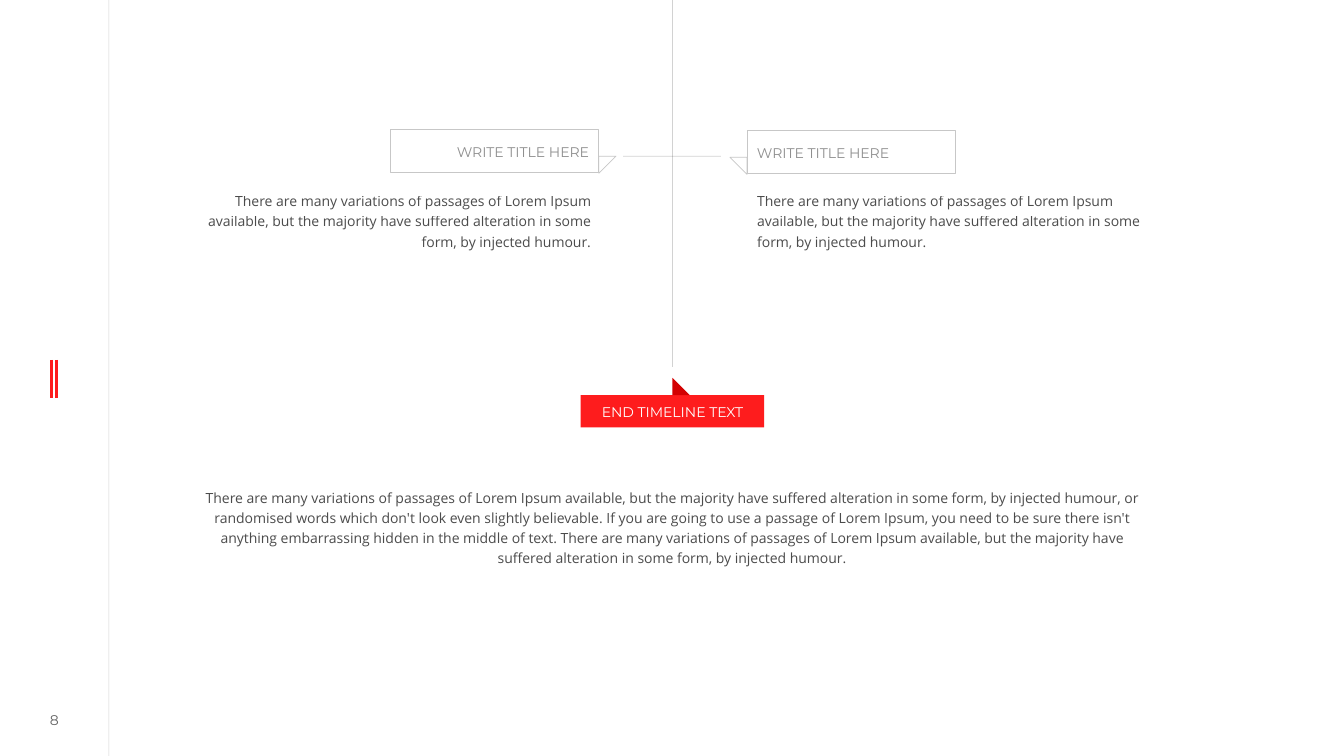
import pptx
import pptx.util
import pptx.dml.color
import pptx.enum.shapes
import pptx.enum.text
import pptx.oxml
import pptx.oxml.ns
from lxml import etree

Inches, Pt = pptx.util.Inches, pptx.util.Pt
RGB = pptx.dml.color.RGBColor
SHAPE = pptx.enum.shapes.MSO_SHAPE
ALIGN = pptx.enum.text.PP_ALIGN
ANCHOR = pptx.enum.text.MSO_ANCHOR
GROW = pptx.enum.text.MSO_AUTO_SIZE.SHAPE_TO_FIT_TEXT
qn = pptx.oxml.ns.qn

COLORS = {"ink": "1F1F1F", "red": "FE1C1D", "dark red": "D30102",
          "outline": "C7C7C7", "title": "8F8F8F", "white": "FFFFFF"}
PASSAGE = ("There are many variations of passages of Lorem Ipsum available, but the "
           "majority have suffered alteration in some form, by injected humour")
CLOSING = (PASSAGE + ", or randomised words which don't look even slightly believable. "
           "If you are going to use a passage of Lorem Ipsum, you need to be sure there "
           "isn't anything embarrassing hidden in the middle of text. " + PASSAGE + ".")

presentation = pptx.Presentation()
presentation.slide_width, presentation.slide_height = Inches(13.33), Inches(7.5)
slide = presentation.slides.add_slide(presentation.slide_layouts[6])
shapes = slide.shapes


def write(box, text, font, color, align, insets, opacity=100, spacing=None, **frame_format):
    """Fill a box with one paragraph; insets are left, top, right, bottom."""
    frame = box.text_frame
    frame_format["word_wrap"] = True
    for side, inset in zip(("left", "top", "right", "bottom"), insets):
        frame_format[f"margin_{side}"] = Inches(inset)
    for name, value in frame_format.items():
        setattr(frame, name, value)
    paragraph = frame.paragraphs[0]
    paragraph.alignment = align
    paragraph.line_spacing = spacing
    run = paragraph.add_run()
    run.text = text
    run.font.name, run.font.size = font, Pt(10)
    run.font.color.rgb = RGB.from_string(COLORS[color])
    if opacity < 100:
        tint = next(run._r.iter(qn("a:srgbClr")))
        etree.SubElement(tint, qn("a:alpha"), val=str(opacity * 1000))


def draw(kind, left, top, width, height, fill=None, rotation=0):
    """Add a filled shape, or an outlined one when no fill is given."""
    shape = shapes.add_shape(kind, Inches(left), Inches(top), Inches(width), Inches(height))
    shape.shadow.inherit = False
    shape.rotation = rotation
    if fill:
        shape.fill.solid()
        shape.fill.fore_color.rgb = RGB.from_string(COLORS[fill])
        shape.line.fill.background()
    else:
        shape.fill.background()
        shape.line.color.rgb = RGB.from_string(COLORS["outline"])
        shape.line.width = Pt(0.5)
    return shape


# Margin rule, red side marks, timeline and its two branches
axis, branch_y = 6.67, 1.55
lines = [(1.08, 0, 1.08, 7.5, "ink", 0.5, 20),
         (0.51, 3.57, 0.51, 3.95, "red", 2, 100),
         (0.56, 3.57, 0.56, 3.95, "red", 2, 100),
         (axis, 0, axis, 3.64, "ink", 0.5, 20),
         (axis, branch_y, 7.15, branch_y, "ink", 0.5, 20),
         (6.18, branch_y, axis, branch_y, "ink", 0.5, 20)]
for x1, y1, x2, y2, color, width, opacity in lines:
    line = shapes.add_connector(pptx.enum.shapes.MSO_CONNECTOR.STRAIGHT,
                                Inches(x1), Inches(y1), Inches(x2), Inches(y2))
    line.line.color.rgb = RGB.from_string(COLORS[color])
    line.line.width = Pt(width)
    properties = line._element.spPr
    if opacity < 100:
        tint = next(properties.iter(qn("a:srgbClr")))
        etree.SubElement(tint, qn("a:alpha"), val=str(opacity * 1000))
    etree.SubElement(properties, qn("a:effectLst"))

# Page number
page_number = shapes.add_textbox(Inches(0.26), Inches(7.02), Inches(0.56), Inches(0.25))
write(page_number, "8", "Montserrat", "ink", ALIGN.CENTER, (0, 0, 0, 0), 70,
      vertical_anchor=ANCHOR.MIDDLE)

# Title flags: box left and top, pointer left, top and rotation
flags = [(7.41, 1.29, 7.24, 1.56, 180, ALIGN.LEFT),
         (3.87, 1.28, 5.94, 1.55, 90, ALIGN.RIGHT)]
for left, top, pointer_left, pointer_top, rotation, align in flags:
    flag = draw(SHAPE.RECTANGLE, left, top, 2.07, 0.43)
    write(flag, "WRITE TITLE HERE", "Montserrat", "title", align, (0.1, 0.07, 0.1, 0.05),
          vertical_anchor=ANCHOR.MIDDLE)
    draw(SHAPE.RIGHT_TRIANGLE, pointer_left, pointer_top, 0.17, 0.17, rotation=rotation)

# End of the timeline
end_label = draw(SHAPE.RECTANGLE, 5.76, 3.92, 1.82, 0.32, "red")
write(end_label, "END TIMELINE TEXT", "Montserrat", "white", ALIGN.CENTER, (0, 0.07, 0, 0.05),
      vertical_anchor=ANCHOR.MIDDLE)
draw(SHAPE.RIGHT_TRIANGLE, axis, 3.75, 0.17, 0.17, "dark red")

# Body texts
bodies = [(7.51, 1.83, 3.8, 0.71, PASSAGE + ".", ALIGN.LEFT),
          (2.04, 1.83, 3.82, 0.71, PASSAGE + ".", ALIGN.RIGHT),
          (2.03, 4.77, 9.27, 0.91, CLOSING, ALIGN.CENTER)]
for left, top, width, height, text, align in bodies:
    body = shapes.add_textbox(Inches(left), Inches(top), Inches(width), Inches(height))
    write(body, text, "Open Sans", "ink", align, (0, 0.05, 0, 0.05), 80, 1.2, auto_size=GROW)

presentation.save("out.pptx")
